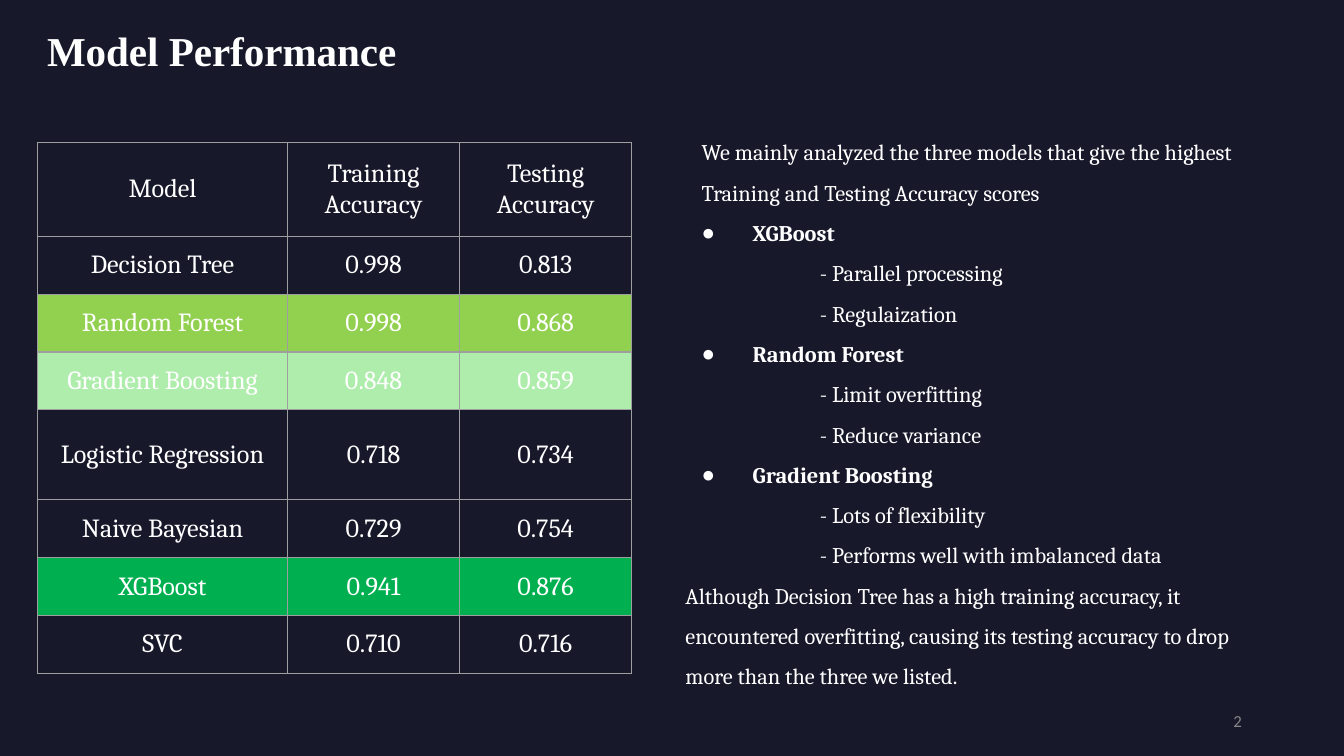
import pptx
import pptx.util
import pptx.dml.color
import pptx.enum.text
import pptx.oxml
import pptx.oxml.ns
from lxml import etree

Inches = pptx.util.Inches
Pt = pptx.util.Pt
Align = pptx.enum.text.PP_ALIGN
Anchor = pptx.enum.text.MSO_ANCHOR
qn = pptx.oxml.ns.qn
NS = pptx.oxml.ns.nsdecls("a")

COLORS = {"back": "17182A", "text": "FFFFFF", "rule": "9E9E9E", "page": "888888",
          "lime": "92D050", "mint": "AEEDAB", "green": "00B050"}


def rgb(name):
    return pptx.dml.color.RGBColor.from_string(COLORS[name])


def apply(item, values):
    for key, value in values.items():
        setattr(item, key, value)


class Page:
    def __init__(self, deck):
        self.slide = deck.slides.add_slide(deck.slide_layouts[1])
        fill = self.slide.background.fill
        fill.solid()
        fill.fore_color.rgb = rgb("back")

    def font(self, item, name, size, color="text", bold=False):
        apply(item.font, {"name": name, "size": Pt(size), "bold": bold})
        item.font.color.rgb = rgb(color)

    def place(self, shape, box, pad, anchor=Anchor.TOP):
        apply(shape, dict(zip(("left", "top", "width", "height"), map(Inches, box))))
        side, edge = map(Inches, pad)
        frame = shape.text_frame
        apply(frame, {"margin_left": side, "margin_right": side, "margin_top": edge,
                      "margin_bottom": edge, "word_wrap": True, "vertical_anchor": anchor,
                      "auto_size": pptx.enum.text.MSO_AUTO_SIZE.NONE})
        return frame

    def title(self, text, box):
        frame = self.place(self.slide.shapes.title, box, (0.07, 0.04))
        para = frame.paragraphs[0]
        para.alignment = Align.LEFT
        run = para.add_run()
        run.text = text
        self.font(run, "Times New Roman", 22, bold=True)

    def body(self, items, box):
        frame = self.place(self.slide.placeholders[1], box, (0.1, 0.1))
        for i, (kind, text) in enumerate(items):
            para = frame.add_paragraph() if i else frame.paragraphs[0]
            apply(para, {"line_spacing": 1.5, "space_before": Pt(0), "alignment": Align.LEFT})
            left, hang = INDENTS[kind]
            props = para._p.get_or_add_pPr()
            props.set("marL", str(Inches(left)))
            props.set("indent", str(Inches(hang)))
            if kind == "head":
                tint = etree.SubElement(props, qn("a:buClr"))
                etree.SubElement(tint, qn("a:srgbClr")).set("val", COLORS["text"])
                etree.SubElement(props, qn("a:buChar")).set("char", "●")
            else:
                etree.SubElement(props, qn("a:buNone"))
            run = para.add_run()
            run.text = text
            self.font(run, "Cambria", 12, bold=kind == "head")

    def cell(self, cell, text, color):
        cell.text = text
        apply(cell, {"vertical_anchor": Anchor.MIDDLE,
                     **{"margin_" + s: Inches(0.1) for s in ("left", "right", "top", "bottom")}})
        para = cell.text_frame.paragraphs[0]
        para.alignment = Align.CENTER
        self.font(para.runs[0], "Cambria", 14)
        if color:
            cell.fill.solid()
            cell.fill.fore_color.rgb = rgb(color)
        else:
            cell.fill.background()
        props = cell._tc.get_or_add_tcPr()
        for i, side in enumerate("LRTB"):
            props.insert(i, pptx.oxml.parse_xml(
                f'<a:ln{side} {NS} w="{Pt(0.75)}"><a:solidFill>'
                f'<a:srgbClr val="{COLORS["rule"]}"/></a:solidFill></a:ln{side}>'))

    def table(self, rows, tints, box, widths, heights):
        table = self.slide.shapes.add_table(len(rows), len(widths), *map(Inches, box)).table
        apply(table, {"first_row": False, "horz_banding": False})
        for col, width in zip(table.columns, widths):
            col.width = Inches(width)
        for r, row in enumerate(rows):
            table.rows[r].height = Inches(heights.get(row[0], 0.43))
            for c, text in enumerate(row):
                self.cell(table.cell(r, c), text, tints.get(row[0]))

    def number(self, text, box):
        shape = self.slide.shapes.add_textbox(*map(Inches, box))
        para = self.place(shape, box, (0.07, 0.04), Anchor.MIDDLE).paragraphs[0]
        para.alignment = Align.RIGHT
        run = para.add_run()
        run.text = text
        self.font(run, "Calibri", 9, "page")


INDENTS = {"lead": (0.12, 0), "head": (0.5, -0.38), "sub": (1, 0), "end": (0, 0)}

ROWS = [
    ("Model", "Training Accuracy", "Testing Accuracy"),
    ("Decision Tree", "0.998", "0.813"),
    ("Random Forest", "0.998", "0.868"),
    ("Gradient Boosting", "0.848", "0.859"),
    ("Logistic Regression", "0.718", "0.734"),
    ("Naive Bayesian", "0.729", "0.754"),
    ("XGBoost", "0.941", "0.876"),
    ("SVC", "0.710", "0.716"),
]
TINTS = {"Random Forest": "lime", "Gradient Boosting": "mint", "XGBoost": "green"}

NOTES = [
    ("lead", "We mainly analyzed the three models that give the highest "
             "Training and Testing Accuracy scores"),
    ("head", "XGBoost"),
    ("sub", "- Parallel processing"),
    ("sub", "- Regulaization"),
    ("head", "Random Forest"),
    ("sub", "- Limit overfitting"),
    ("sub", "- Reduce variance"),
    ("head", "Gradient Boosting"),
    ("sub", "- Lots of flexibility"),
    ("sub", "- Performs well with imbalanced data"),
    ("end", "Although Decision Tree has a high training accuracy, it encountered "
            "overfitting, causing its testing accuracy to drop more than the three we listed."),
]

deck = pptx.Presentation()
apply(deck, {"slide_width": Inches(10), "slide_height": Inches(10) * 9 // 16})
page = Page(deck)
page.title("Model Performance", (0.28, 0.15, 3.67, 0.45))
page.table(ROWS, TINTS, (0.28, 1.06, 4.43, 3.99), (1.86, 1.28, 1.28),
           {"Model": 0.7, "Logistic Regression": 0.67})
page.body(NOTES, (5, 0.83, 4.43, 4.44))
page.number("2", (7.06, 5.21, 2.25, 0.3))
deck.save("out.pptx")
